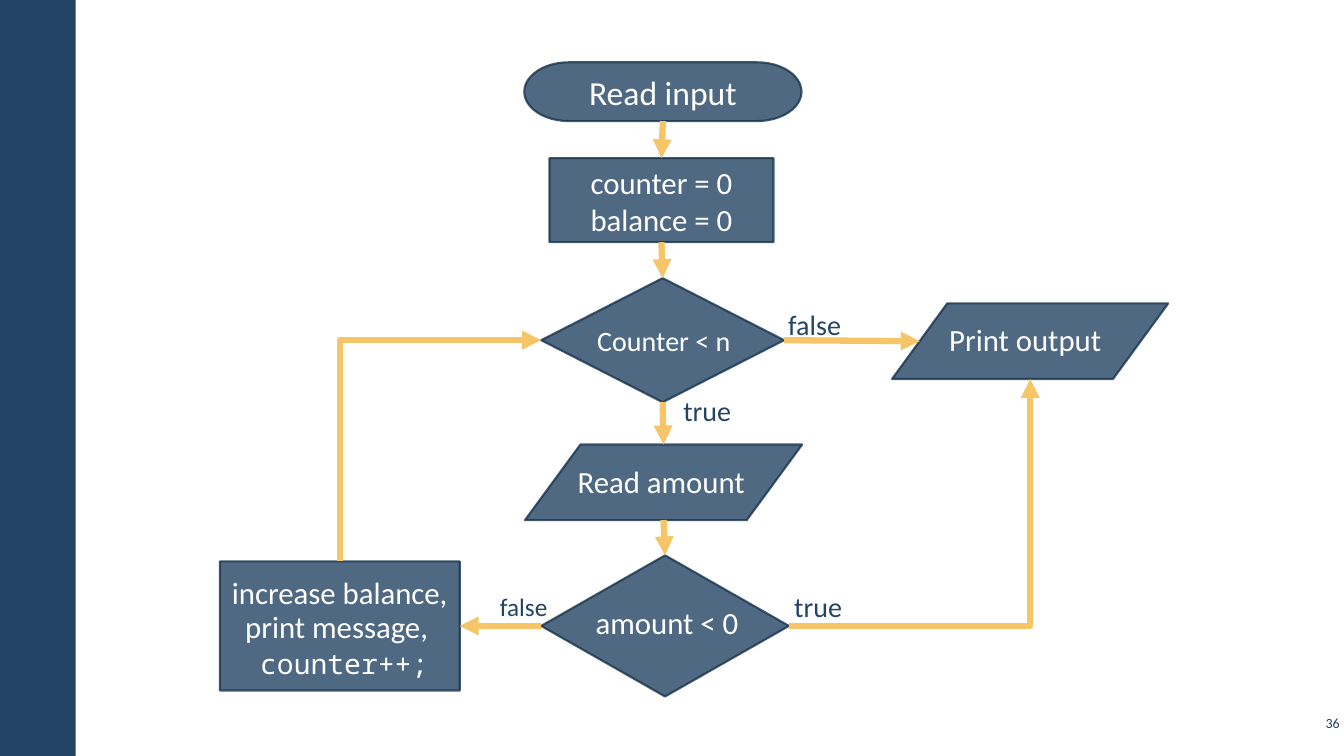
from lxml import etree
from pptx import Presentation
from pptx.dml.color import RGBColor
from pptx.enum.shapes import MSO_CONNECTOR, MSO_SHAPE
from pptx.enum.text import MSO_ANCHOR, PP_ALIGN
from pptx.oxml.ns import qn
from pptx.util import Pt

COLORS = {"navy": "234465", "outline": "1A334C", "arrow": "F5C567", "white": "FFFFFF"}
SANS, MONO = "Calibri", "Noto Sans Mono"

NODES = {
    "read input": (MSO_SHAPE.FLOWCHART_TERMINATOR, 217.5, 0, 198, 42),
    "set up": (MSO_SHAPE.FLOWCHART_PROCESS, 235.5, 68.5, 160, 60),
    "counter check": (MSO_SHAPE.FLOWCHART_DECISION, 229.6, 154.2, 173.5, 88.6),
    "read amount": (MSO_SHAPE.FLOWCHART_DATA, 218, 273, 198, 54),
    "amount check": (MSO_SHAPE.FLOWCHART_DECISION, 229.6, 352.2, 177, 100.8),
    "update": (MSO_SHAPE.FLOWCHART_PROCESS, 0, 356.5, 171.4, 92.2),
    "print output": (MSO_SHAPE.FLOWCHART_DATA, 480.2, 172.2, 197.3, 54),
}
NODE_TEXTS = [
    ("Read input", 24, (217.5, 0, 198, 42)),
    ("counter = 0\nbalance = 0", 22, (235.5, 68.5, 160, 60)),
    ("Counter < n", 20, (230.4, 183, 173.5, 31.7)),
    ("Read amount", 22, (224.6, 282.4, 181.5, 34)),
    ("amount < 0", 22, (248.4, 383.2, 142, 34)),
    ("increase balance,", 22, (0.7, 361.6, 170, 34)),
    ("print message,", 22, (10, 386, 147, 34)),
    ("Print output", 22, (513.3, 180.9, 124, 34)),
]
BRANCH_LABELS = [
    ("true", 20, (319.6, 225.5, 70.6, 44)),
    ("false", 20, (394.5, 164.3, 68, 42.5)),
    ("true", 20, (398.8, 365.9, 66, 44)),
    ("false", 18, (188.6, 367.3, 64, 40.3)),
]
STRAIGHT_ARROWS = [
    ("read input", "bottom", "set up", "top"),
    ("set up", "bottom", "counter check", "top"),
    ("counter check", "bottom", "read amount", "top"),
    ("counter check", "right", "print output", "slanted left"),
    ("read amount", "bottom", "amount check", "top"),
    ("amount check", "left", "update", "right"),
]
SIDES = {"top": (0.5, 0), "bottom": (0.5, 1), "left": (0, 0.5),
         "right": (1, 0.5), "slanted left": (0.1, 0.5)}


def rgb(name):
    return RGBColor.from_string(COLORS[name])


def place(box, area):
    return box[0] + area[0], box[1] + area[1], area[2], area[3]


def points(*lengths):
    return [Pt(length) for length in lengths]


def add_text(slide, text, size, area, color="white", font=SANS, align=PP_ALIGN.CENTER,
             anchor=MSO_ANCHOR.MIDDLE, insets=(0, 0), spacing=None):
    frame = slide.shapes.add_textbox(*points(*area)).text_frame
    frame.word_wrap = True
    frame.vertical_anchor = anchor
    frame.margin_left = frame.margin_right = Pt(insets[0])
    frame.margin_top = frame.margin_bottom = Pt(insets[1])
    frame.text = text
    for paragraph in frame.paragraphs:
        paragraph.alignment = align
        paragraph.line_spacing = spacing
        paragraph.font.size = Pt(size)
        paragraph.font.name = font
        paragraph.font.color.rgb = rgb(color)


def add_node(slide, kind, area):
    node = slide.shapes.add_shape(kind, *points(*area))
    node.shadow.inherit = False
    node.fill.solid()
    node.fill.fore_color.rgb = rgb("navy")
    node.line.color.rgb = rgb("outline")
    node.line.width = Pt(1.5)
    for color in node._element.spPr.iter(qn("a:srgbClr")):
        etree.SubElement(color, qn("a:alpha"), val="80000")


def add_arrow(slide, start, end, kind=MSO_CONNECTOR.STRAIGHT):
    arrow = slide.shapes.add_connector(kind, *points(*start, *end))
    arrow.line.color.rgb = rgb("arrow")
    arrow.line.width = Pt(4.5)
    etree.SubElement(arrow.line._get_or_add_ln(), qn("a:tailEnd"), type="triangle")
    properties = arrow._element.spPr
    etree.SubElement(properties, qn("a:effectLst"))
    if kind == MSO_CONNECTOR.ELBOW:
        properties.find(qn("a:prstGeom")).set("prst", "bentConnector2")
    return arrow


def add_up_then_right_arrow(slide, start, end):
    middle_x, middle_y = (start[0] + end[0]) / 2, (start[1] + end[1]) / 2
    half_width, half_height = (start[1] - end[1]) / 2, (end[0] - start[0]) / 2
    arrow = add_arrow(slide, (middle_x + half_width, middle_y + half_height),
                      (middle_x - half_width, middle_y - half_height), MSO_CONNECTOR.ELBOW)
    arrow._element.spPr.find(qn("a:xfrm")).set("rot", "5400000")


def draw_sidebar(slide, box):
    bar = slide.shapes.add_shape(MSO_SHAPE.RECTANGLE, *points(*box))
    bar.shadow.inherit = False
    bar.fill.solid()
    bar.fill.fore_color.rgb = rgb("navy")
    bar.line.fill.background()


def draw_page_number(slide, box):
    add_text(slide, "36", 10, box, "navy", align=PP_ALIGN.RIGHT, insets=(3, 3))


def draw_flowchart(slide, box):
    def side_point(name, side):
        left, top, width, height = place(box, NODES[name][1:])
        across, down = SIDES[side]
        return left + across * width, top + down * height

    for kind, *area in NODES.values():
        add_node(slide, kind, place(box, area))
    for source, source_side, target, target_side in STRAIGHT_ARROWS:
        add_arrow(slide, side_point(source, source_side), side_point(target, target_side))
    add_up_then_right_arrow(slide, side_point("update", "top"),
                            side_point("counter check", "left"))
    add_arrow(slide, side_point("amount check", "right"),
              side_point("print output", "bottom"), MSO_CONNECTOR.ELBOW)
    for text, size, area in NODE_TEXTS:
        add_text(slide, text, size, place(box, area))
    add_text(slide, "counter++;", 20, place(box, (28.8, 413.4, 142, 21)), font=MONO,
             align=PP_ALIGN.LEFT, anchor=MSO_ANCHOR.TOP, insets=(0, 3.6))
    for text, size, area in BRANCH_LABELS:
        add_text(slide, text, size, place(box, area), "navy", align=PP_ALIGN.LEFT,
                 anchor=MSO_ANCHOR.TOP, insets=(11.5, 8.6), spacing=1.1)


presentation = Presentation()
presentation.slide_width, presentation.slide_height = Pt(960), Pt(540)
slide = presentation.slides.add_slide(presentation.slide_layouts[6])
draw_sidebar(slide, (0, 0, 54, 540))
draw_page_number(slide, (926, 504, 34, 24.5))
draw_flowchart(slide, (157, 44.5, 678, 453))
presentation.save("out.pptx")
